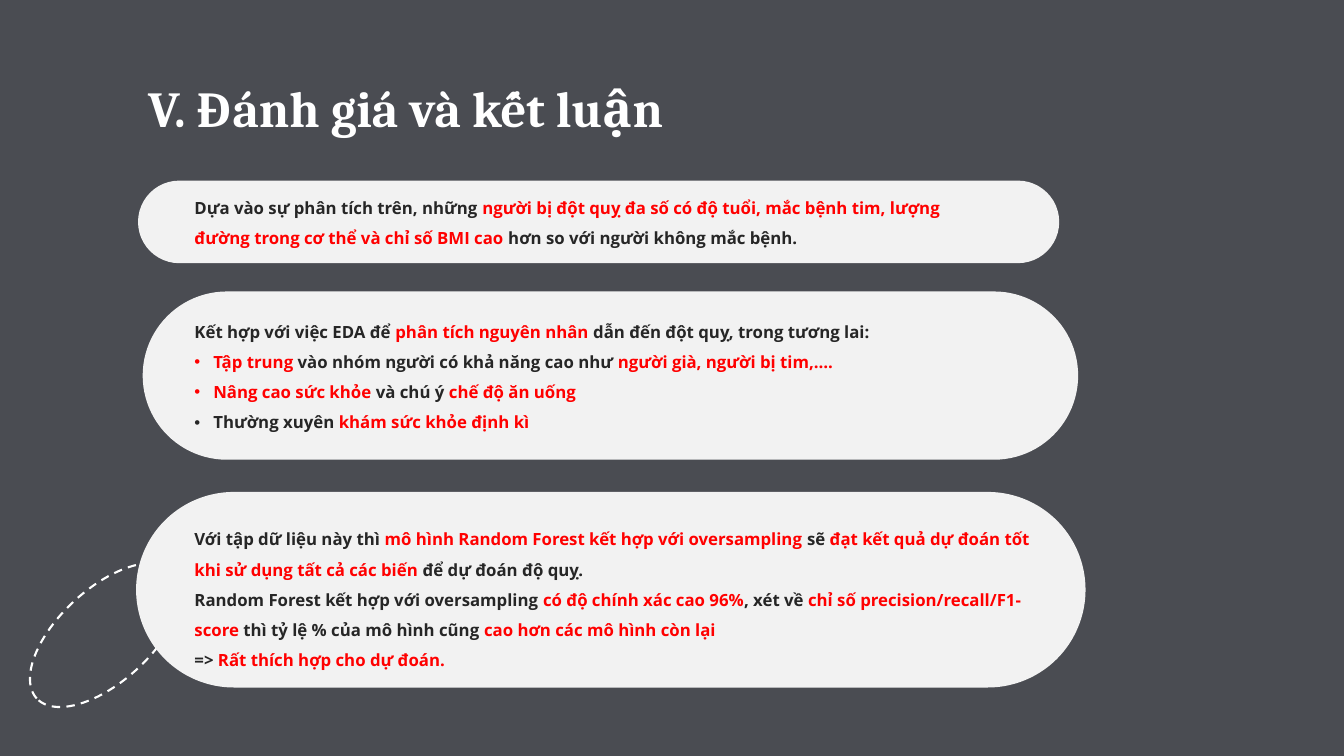
from lxml import etree
from pptx import Presentation
from pptx.dml.color import RGBColor
from pptx.enum.dml import MSO_LINE
from pptx.enum.shapes import MSO_SHAPE as Preset
from pptx.enum.text import MSO_ANCHOR, MSO_AUTO_SIZE, PP_ALIGN
from pptx.oxml.ns import qn
from pptx.util import Pt

WIDTH, HEIGHT = 960, 540
BACKDROP = RGBColor(0x14, 0x17, 0x1E)
PANEL = RGBColor(0xF2, 0xF2, 0xF2)
WHITE = RGBColor(0xFF, 0xFF, 0xFF)
INK = RGBColor(0x26, 0x26, 0x26)
RED = RGBColor(0xFF, 0x00, 0x00)
TITLE_FONT, BODY_FONT = "Cambria", "Open Sans"
TEXT_LEFT = 131.8
BULLET = "• "
INDENT = 13.5

# Panel box, text top, width and height, then lines; asterisks enclose red words
CONCLUSIONS = [
    ((98.6, 129, 658, 59), (130.3, 578.2, 48.2), [
        "Dựa vào sự phân tích trên, những *người bị đột quỵ đa số có độ tuổi, "
        "mắc bệnh tim, lượng đường trong cơ thể và chỉ số BMI cao* hơn so với "
        "người không mắc bệnh.",
    ]),
    ((101.9, 208.2, 668.2, 120.2), (218.9, 625.7, 92.2), [
        "Kết hợp với việc EDA để *phân tích nguyên nhân *dẫn đến đột quỵ, trong tương lai:",
        "• *Tập trung* vào nhóm người có khả năng cao như *người già, người bị tim,….*",
        "• *Nâng cao sức khỏe *và chú ý *chế độ ăn uống*",
        "• Thường xuyên *khám sức khỏe định kì*",
    ]),
    ((97.2, 351.4, 678.2, 139.7), (367.2, 625.7, 113.8), [
        "Với tập dữ liệu này thì *mô hình Random Forest kết hợp với oversampling *sẽ "
        "*đạt kết quả dự đoán tốt khi sử dụng tất cả các biến* để dự đoán độ quỵ.",
        "Random Forest kết hợp với oversampling *có độ chính xác cao 96%*, xét về "
        "*chỉ số precision/recall/F1-score *thì tỷ lệ % của mô hình cũng "
        "*cao hơn các mô hình còn lại*",
        "=> *Rất thích hợp cho dự đoán.*",
    ]),
]


def points(*lengths):
    return [Pt(length) for length in lengths]


def add_filled(page, preset, frame, color):
    shape = page.shapes.add_shape(preset, *points(*frame))
    shape.shadow.inherit = False
    shape.fill.solid()
    shape.fill.fore_color.rgb = color
    shape.line.fill.background()
    return shape


def add_backdrop(page):
    backdrop = add_filled(page, Preset.RECTANGLE, (0, 0, WIDTH, HEIGHT), BACKDROP)
    color = next(backdrop.element.iter(qn("a:srgbClr")))
    etree.SubElement(color, qn("a:alpha"), val="77000")
    # The title placeholder has to lie in front of the backdrop
    page.shapes.title.element.addprevious(backdrop.element)


def add_dashed_ellipse(page):
    ellipse = page.shapes.add_shape(Preset.OVAL, *points(8.6, 420.5, 133.9, 66.2))
    ellipse.shadow.inherit = False
    ellipse.rotation = 317.4
    ellipse.fill.background()
    ellipse.line.color.rgb = WHITE
    ellipse.line.width = Pt(1.5)
    ellipse.line.dash_style = MSO_LINE.DASH


def add_panel(page, frame):
    panel = add_filled(page, Preset.ROUNDED_RECTANGLE, frame, PANEL)
    panel.adjustments[0] = 0.5


def style_span(span, font, size, color):
    span.font.name = font
    span.font.size = Pt(size)
    span.font.bold = True
    span.font.color.rgb = color


def set_title(page, text):
    title = page.shapes.title
    title.left, title.top, title.width, title.height = points(98.6, 51.8, 463, 51.1)
    frame = title.text_frame
    frame.text = text
    frame.vertical_anchor = MSO_ANCHOR.TOP
    frame.auto_size = MSO_AUTO_SIZE.SHAPE_TO_FIT_TEXT
    para = frame.paragraphs[0]
    para.alignment = PP_ALIGN.LEFT
    para.line_spacing = 1.0
    style_span(para.runs[0], TITLE_FONT, 36, WHITE)


def make_bullet(para):
    properties = para._p.get_or_add_pPr()
    properties.set("marL", str(Pt(INDENT)))
    properties.set("indent", str(-Pt(INDENT)))
    etree.SubElement(properties, qn("a:buFont"), typeface="Arial")
    etree.SubElement(properties, qn("a:buChar"), char=BULLET.strip())


def add_conclusion(page, top, width, height, lines):
    box = page.shapes.add_textbox(*points(TEXT_LEFT, top, width, height))
    frame = box.text_frame
    frame.word_wrap = True
    frame.auto_size = MSO_AUTO_SIZE.SHAPE_TO_FIT_TEXT
    for number, line in enumerate(lines):
        para = frame.add_paragraph() if number else frame.paragraphs[0]
        para.line_spacing = 1.5
        if line.startswith(BULLET):
            make_bullet(para)
        for position, words in enumerate(line.removeprefix(BULLET).split("*")):
            if words:
                span = para.add_run()
                span.text = words
                style_span(span, BODY_FONT, 12, RED if position % 2 else INK)


def main():
    deck = Presentation()
    deck.slide_width, deck.slide_height = points(WIDTH, HEIGHT)
    page = deck.slides.add_slide(deck.slide_layouts[5])

    # Background and title
    add_backdrop(page)
    set_title(page, "V. Đánh giá và kết luận")

    # Ellipse behind the panels
    add_dashed_ellipse(page)

    # Conclusions
    for panel_frame, text_frame, lines in CONCLUSIONS:
        add_panel(page, panel_frame)
        add_conclusion(page, *text_frame, lines)

    deck.save("out.pptx")


if __name__ == "__main__":
    main()
